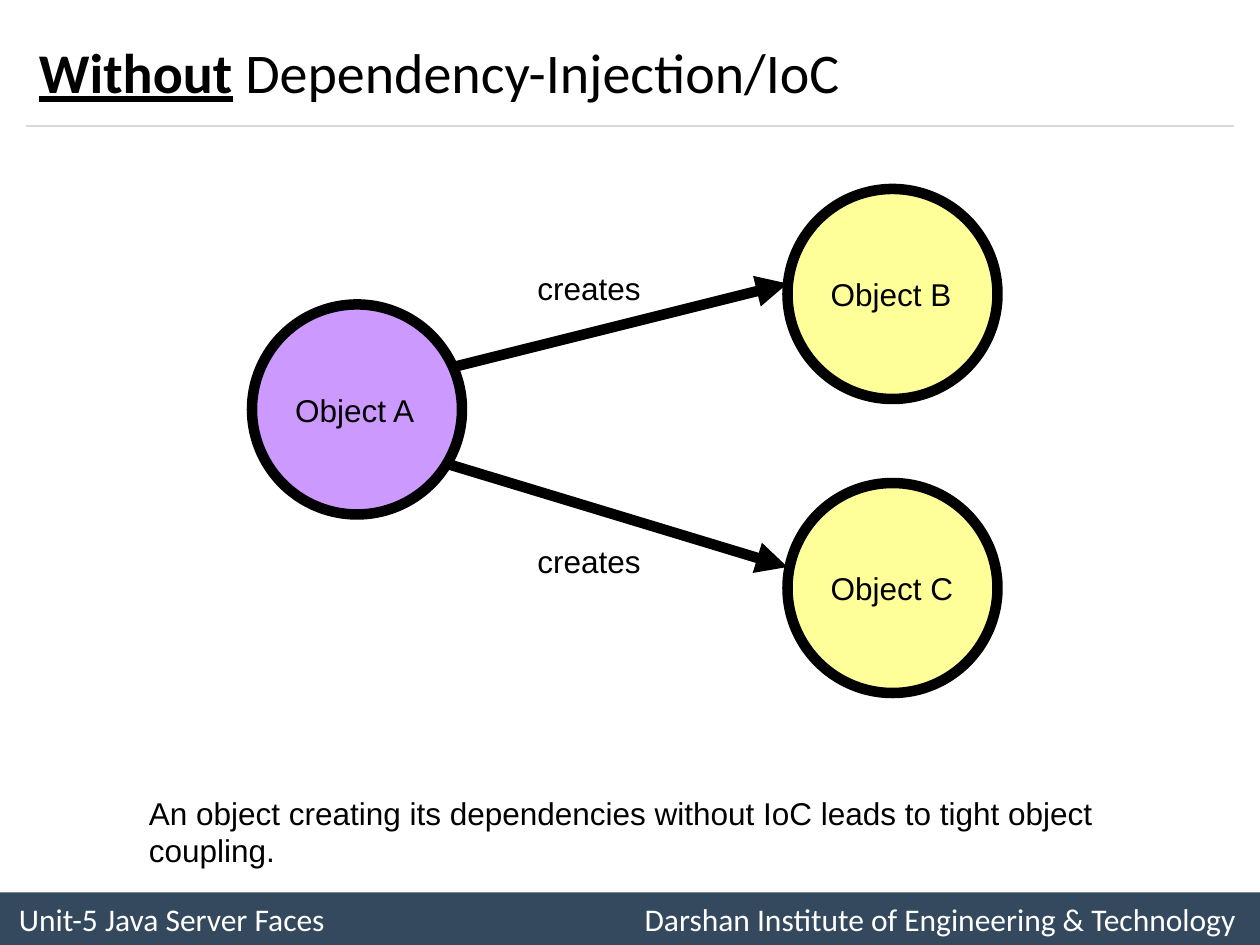
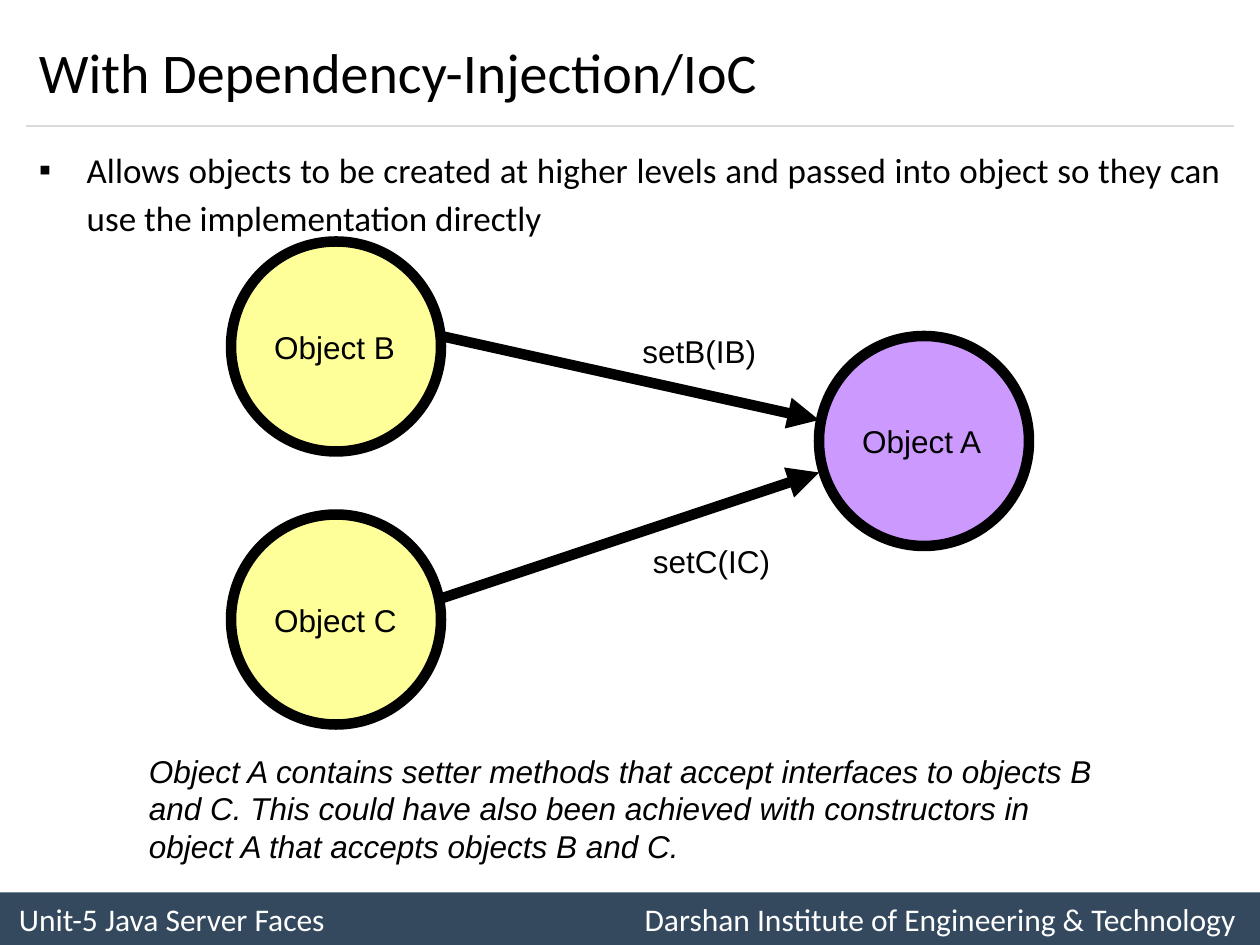
from dataclasses import dataclass

from lxml import etree
from pptx import Presentation
from pptx.dml.color import RGBColor
from pptx.enum.shapes import MSO_CONNECTOR, MSO_SHAPE
from pptx.enum.text import MSO_ANCHOR, MSO_AUTO_SIZE, PP_ALIGN
from pptx.oxml.ns import qn
from pptx.util import Emu, Inches, Pt

LEFT, JUSTIFY = PP_ALIGN.LEFT, PP_ALIGN.JUSTIFY
MIDDLE, TOP = MSO_ANCHOR.MIDDLE, MSO_ANCHOR.TOP
FIT_SHAPE, NO_FIT = MSO_AUTO_SIZE.SHAPE_TO_FIT_TEXT, MSO_AUTO_SIZE.NONE
STRAIGHT = MSO_CONNECTOR.STRAIGHT
CIRCLE, RECTANGLE = MSO_SHAPE.OVAL, MSO_SHAPE.RECTANGLE

# The slide is a grid of 120 columns by 90 rows with square cells.
COLUMNS, ROWS = 120, 90
SLIDE_WIDTH, SLIDE_HEIGHT = Inches(10), Inches(7.5)
MARGIN = 2.5
CONTENT_WIDTH = COLUMNS - 2 * MARGIN
HEADER_RULE_ROW = 12
FOOTER_ROW = 85
DIAMETER = 20
LABEL_HEIGHT = 4.8
CAPTION_COLUMN, CAPTION_WIDTH = 13, 93

FOOTER_TEXT = "Unit-5 Java Server Faces\tDarshan Institute of Engineering & Technology"


@dataclass(frozen=True)
class Theme:
    ink: str = "000000"
    paper: str = "FFFFFF"
    footer: str = "34495E"
    header_rule: str = "D9D9D9"
    client: str = "CC99FF"
    dependency: str = "FFFF99"
    heading_font: str = "Calibri"
    diagram_font: str = "Arial"
    title_size: int = 32
    body_size: int = 20
    small_size: int = 18
    thick: float = 6
    thin: float = 0.75


THEME = Theme()


@dataclass(frozen=True)
class Run:
    text: str
    strong: bool = False


@dataclass(frozen=True)
class Node:
    text: str
    column: float
    row: float
    color: str = THEME.dependency


@dataclass(frozen=True)
class Arrow:
    start: tuple[float, float]
    end: tuple[float, float]


@dataclass(frozen=True)
class Label:
    text: str
    column: float
    row: float
    width: float
    height: float = LABEL_HEIGHT
    italic: bool = False


@dataclass(frozen=True)
class DiagramSlide:
    title: list[Run]
    arrows: list[Arrow]
    nodes: list[Node]
    labels: list[Label]
    bullet: str = ""


DIAGRAMS = [
    DiagramSlide(
        title=[Run("Without", strong=True), Run(" Dependency-Injection/IoC")],
        arrows=[Arrow((43, 35), (75, 27)), Arrow((42, 44), (75, 54))],
        nodes=[
            Node("Object A", 24, 29, THEME.client),
            Node("Object B", 75, 18),
            Node("Object C", 75, 46),
        ],
        labels=[
            Label("creates", 50, 25, 14),
            Label("creates", 50, 51, 13),
            Label(
                "An object creating its dependencies without IoC leads to "
                "tight object coupling.",
                CAPTION_COLUMN, 75, CAPTION_WIDTH, 8.4,
            ),
        ],
    ),
    DiagramSlide(
        title=[Run("With Dependency-Injection/IoC")],
        bullet="Allows objects to be created at higher levels and passed into "
               "object so they can use the implementation directly",
        arrows=[Arrow((42, 32), (78, 40)), Arrow((42, 57), (78, 45))],
        nodes=[
            Node("Object A", 78, 32, THEME.client),
            Node("Object B", 22, 23),
            Node("Object C", 22, 49),
        ],
        labels=[
            Label("setB(IB)", 60, 31, 15),
            Label("setC(IC)", 61, 51, 15),
            Label(
                "Object A contains setter methods that accept interfaces to "
                "objects B and C. This could have also been achieved with "
                "constructors in object A that accepts objects B and C.",
                CAPTION_COLUMN, 71, CAPTION_WIDTH, 12, italic=True,
            ),
        ],
    ),
]


def x(columns: float) -> Emu:
    return Emu(round(SLIDE_WIDTH * columns / COLUMNS))


def y(rows: float) -> Emu:
    return Emu(round(SLIDE_HEIGHT * rows / ROWS))


def box(column: float, row: float, width: float, height: float) -> tuple:
    return x(column), y(row), x(width), y(height)


def write(frame, runs: list[Run], *, font: str = THEME.diagram_font,
          size: float = THEME.small_size, color: str = THEME.ink,
          italic: bool = False, align=LEFT, anchor=TOP,
          wrap: bool = True, fit=NO_FIT):
    """Fill a text frame with one formatted paragraph and return it."""
    frame.word_wrap = wrap
    frame.auto_size = fit
    frame.vertical_anchor = anchor
    paragraph = frame.paragraphs[0]
    paragraph.alignment = align
    paragraph.space_before = Pt(0)
    for part in runs:
        run = paragraph.add_run()
        run.text = part.text
        run.font.name = font
        run.font.size = Pt(size)
        run.font.color.rgb = RGBColor.from_string(color)
        run.font.bold = run.font.underline = part.strong
        run.font.italic = italic
    return paragraph


def place(placeholder, column: float, row: float, width: float, height: float) -> None:
    (placeholder.left, placeholder.top,
     placeholder.width, placeholder.height) = box(column, row, width, height)


def add_line(slide, start: tuple[float, float], end: tuple[float, float],
             color: str, weight: float, arrow: bool = False) -> None:
    connector = slide.shapes.add_connector(
        STRAIGHT, x(start[0]), y(start[1]), x(end[0]), y(end[1]))
    connector.line.color.rgb = RGBColor.from_string(color)
    connector.line.width = Pt(weight)
    if arrow:
        etree.SubElement(connector.line._get_or_add_ln(), qn("a:tailEnd"), type="triangle")
    etree.SubElement(connector._element.spPr, qn("a:effectLst"))


def add_filled(slide, preset, area: tuple, color: str):
    shape = slide.shapes.add_shape(preset, *area)
    shape.shadow.inherit = False
    shape.fill.solid()
    shape.fill.fore_color.rgb = RGBColor.from_string(color)
    return shape


def add_frame(slide) -> None:
    """Draw the footer band and the rule under the title."""
    band = add_filled(slide, RECTANGLE,
                      box(0, FOOTER_ROW, COLUMNS, ROWS - FOOTER_ROW), THEME.footer)
    band.line.fill.background()
    band.text_frame.margin_left = Inches(0.15)
    paragraph = write(band.text_frame, [Run(FOOTER_TEXT)], font=THEME.heading_font,
                      color=THEME.paper, anchor=MIDDLE)
    tabs = etree.SubElement(paragraph._p.get_or_add_pPr(), qn("a:tabLst"))
    etree.SubElement(tabs, qn("a:tab"), pos=str(Inches(9.66)), algn="r")
    add_line(slide, (MARGIN, HEADER_RULE_ROW), (COLUMNS - MARGIN, HEADER_RULE_ROW),
             THEME.header_rule, THEME.thin)


def add_title(slide, runs: list[Run]) -> None:
    title = slide.shapes.title
    place(title, MARGIN, 1.5, CONTENT_WIDTH, 10.5)
    write(title.text_frame, runs, font=THEME.heading_font,
          size=THEME.title_size, anchor=MIDDLE)


def add_bullet(slide, text: str) -> None:
    body = slide.placeholders[1]
    place(body, MARGIN, 13, CONTENT_WIDTH, 70)
    paragraph = write(body.text_frame, [Run(text)], font=THEME.heading_font,
                      size=THEME.body_size, align=JUSTIFY)
    properties = paragraph._p.get_or_add_pPr()
    properties.set("marL", str(Inches(0.38)))
    properties.set("indent", str(-Inches(0.38)))
    etree.SubElement(properties, qn("a:buFont"), typeface=THEME.diagram_font)
    etree.SubElement(properties, qn("a:buChar"), char="▪")
    paragraph.line_spacing = 1.14


def add_node(slide, node: Node) -> None:
    circle = add_filled(slide, CIRCLE,
                        box(node.column, node.row, DIAMETER, DIAMETER), node.color)
    circle.line.color.rgb = RGBColor.from_string(THEME.ink)
    circle.line.width = Pt(THEME.thick)
    write(circle.text_frame, [Run(node.text)], anchor=MIDDLE, wrap=False)


def add_label(slide, label: Label) -> None:
    textbox = slide.shapes.add_textbox(
        *box(label.column, label.row, label.width, label.height))
    write(textbox.text_frame, [Run(label.text)], italic=label.italic, fit=FIT_SHAPE)


def add_diagram_slide(deck, diagram: DiagramSlide) -> None:
    layouts = deck.slide_layouts
    layout_name = "Title and Content" if diagram.bullet else "Title Only"
    slide = deck.slides.add_slide(layouts.get_by_name(layout_name))
    add_frame(slide)
    add_title(slide, diagram.title)
    if diagram.bullet:
        add_bullet(slide, diagram.bullet)
    for arrow in diagram.arrows:
        add_line(slide, arrow.start, arrow.end, THEME.ink, THEME.thick, arrow=True)
    for node in diagram.nodes:
        add_node(slide, node)
    for label in diagram.labels:
        add_label(slide, label)


def main() -> None:
    deck = Presentation()
    deck.slide_width, deck.slide_height = SLIDE_WIDTH, SLIDE_HEIGHT
    for diagram in DIAGRAMS:
        add_diagram_slide(deck, diagram)
    deck.save("out.pptx")


if __name__ == "__main__":
    main()
